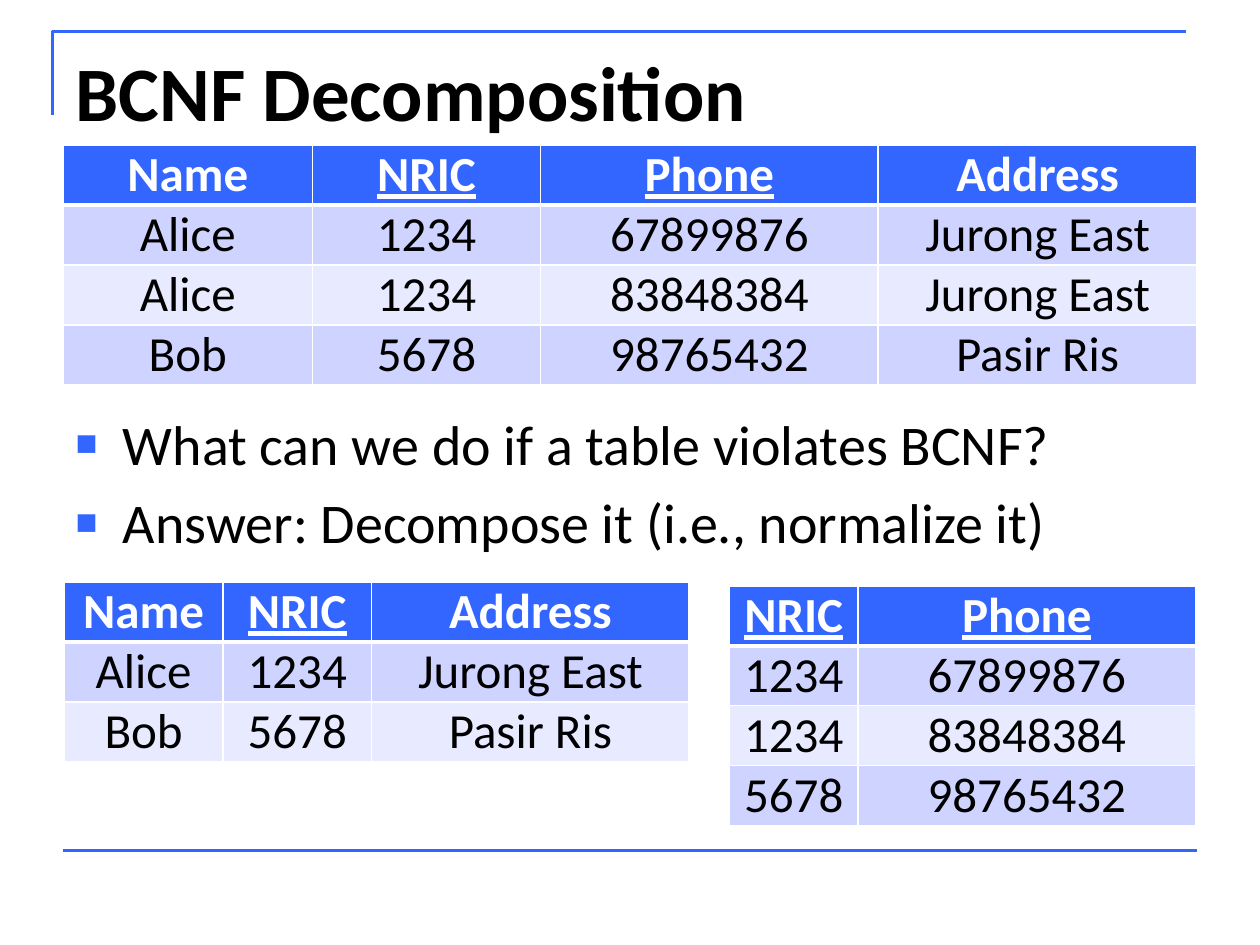
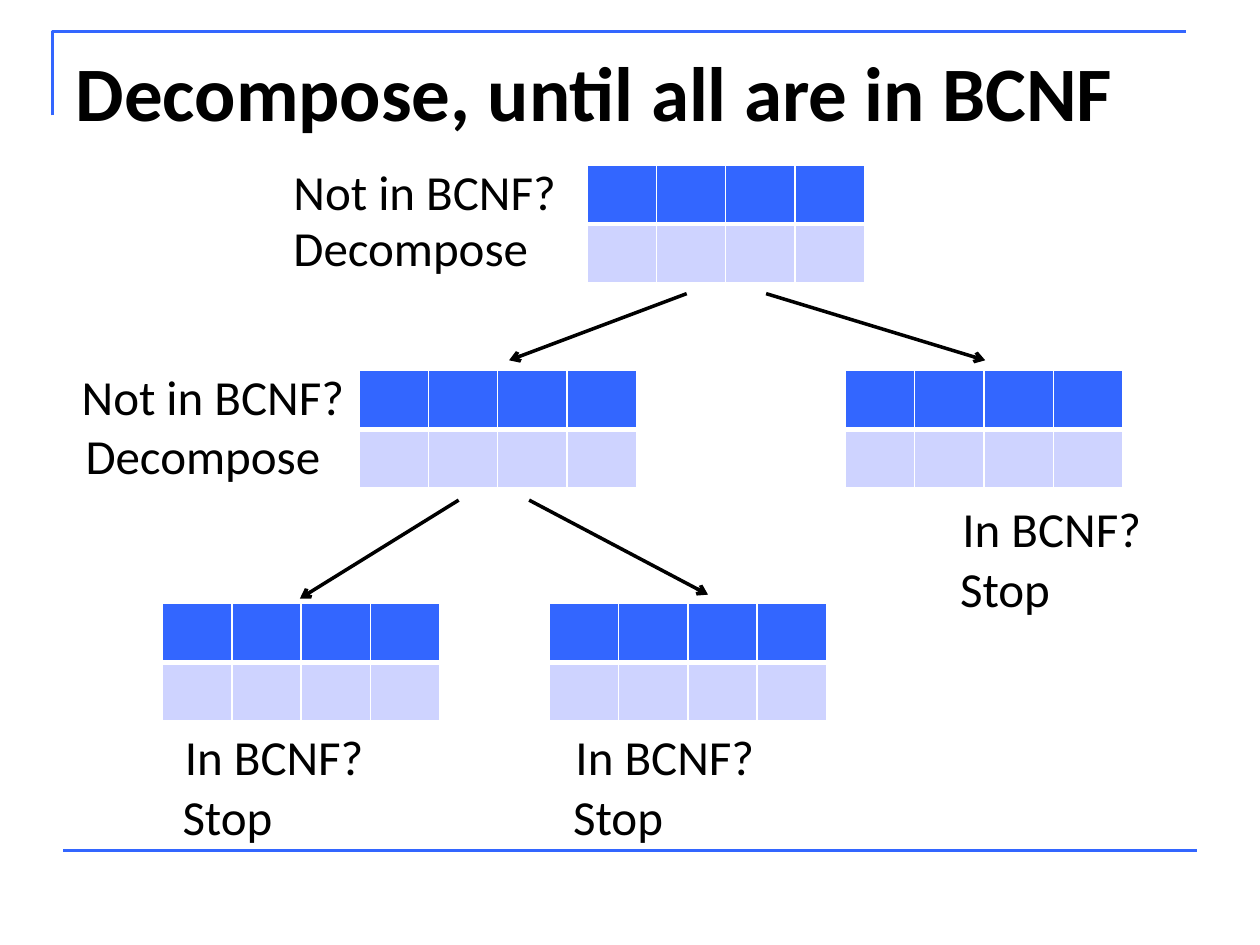
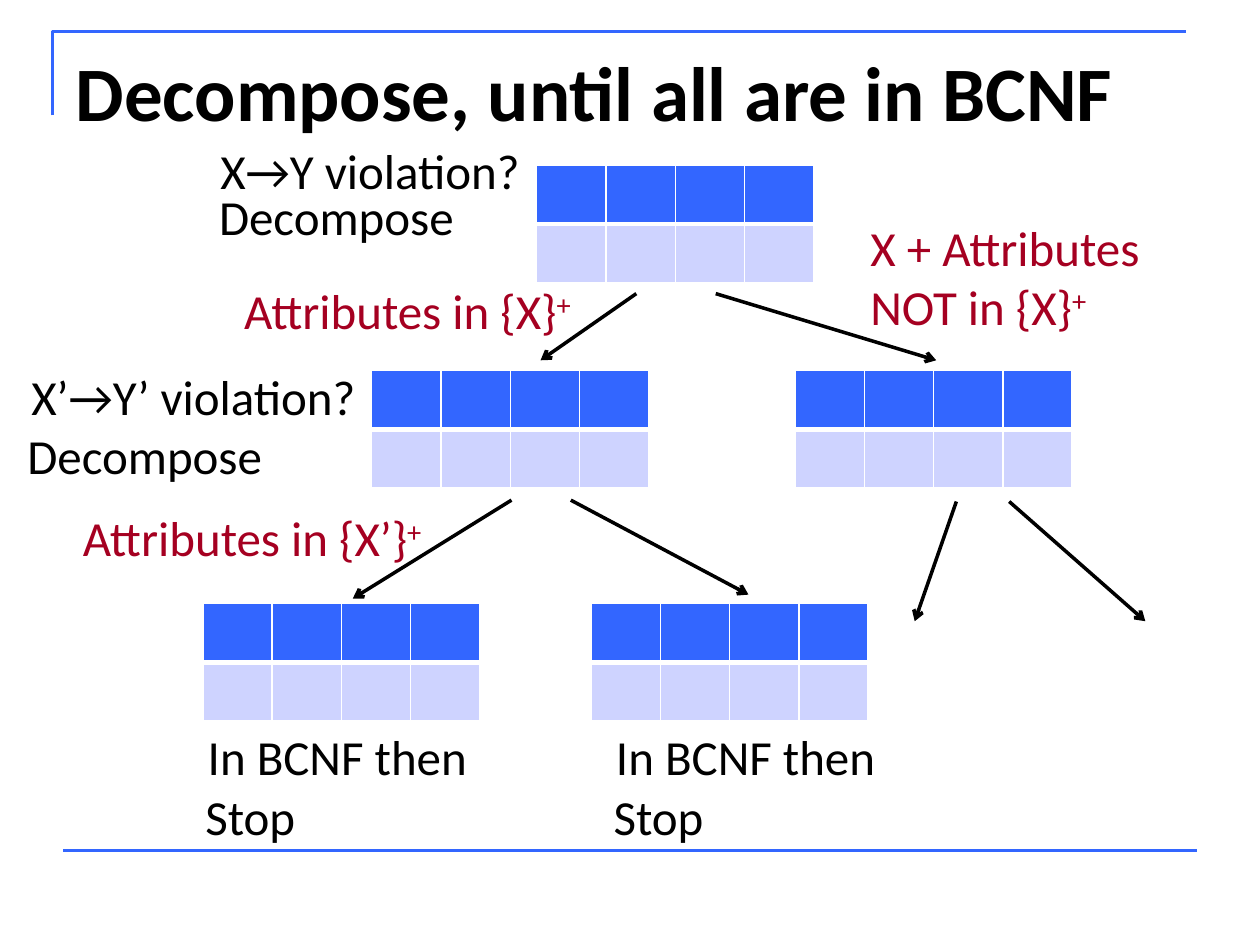
from dataclasses import dataclass
from typing import Optional

from lxml.etree import SubElement
from pptx import Presentation
from pptx.dml.color import RGBColor
from pptx.enum.shapes import MSO_CONNECTOR
from pptx.enum.text import MSO_ANCHOR, MSO_AUTO_SIZE, PP_ALIGN
from pptx.oxml.ns import qn
from pptx.slide import Slide
from pptx.table import _Cell as Cell
from pptx.text.text import _Paragraph as Para
from pptx.util import Pt

BLUE = RGBColor(0x33, 0x66, 0xFF)
DARK = RGBColor(0xCE, 0xD3, 0xFF)
PALE = RGBColor(0xE8, 0xEA, 0xFF)
RED = RGBColor(0xA5, 0x00, 0x21)
BLACK = RGBColor(0, 0, 0)
WHITE = RGBColor(0xFF, 0xFF, 0xFF)
FONT = "Calibri"
ROW = 33.6
LINE = 34
LEVELS = (94.3, 211.7, 344.9)
BLANK = [[""] * 4] * 2
KEYS = ("NRIC", "Phone")
WIDE = {
    "Not in BCNF?": 173,
    "In BCNF?": 125,
    "In BCNF then": 171,
    "X→Y violation?": 196,
    "X’→Y’ violation?": 209,
    "Decompose": 156,
    "Stop": 73,
}


@dataclass
class Grid:
    """A table with a header row; all lengths in points."""
    left: float
    top: float
    cols: list[float]
    rows: list[list[str]]
    keys: tuple[str, ...] = ()
    anchor: MSO_ANCHOR = MSO_ANCHOR.TOP


@dataclass
class Label:
    """Free text, with an optional raised ending."""
    text: str
    left: float
    top: float
    width: float
    color: RGBColor = BLACK
    power: str = ""


@dataclass
class Arrow:
    """An arrow from one point to another."""
    x1: float
    y1: float
    x2: float
    y2: float


def style(para: Para, size: float, color: RGBColor = BLACK,
          bold: Optional[bool] = None) -> None:
    """Set the font of a whole paragraph."""
    font = para.font
    font.name, font.size, font.bold = FONT, Pt(size), bold
    font.color.rgb = color


def draw_line(slide: Slide, arrow: Arrow, color: RGBColor, width: float,
              head: bool = True) -> None:
    """Draw a straight line, with or without an arrowhead."""
    ends = [Pt(n) for n in (arrow.x1, arrow.y1, arrow.x2, arrow.y2)]
    link = slide.shapes.add_connector(MSO_CONNECTOR.STRAIGHT, *ends)
    link.line.color.rgb = color
    link.line.width = Pt(width)
    if head:
        SubElement(link.line._get_or_add_ln(), qn("a:tailEnd"), type="arrow")
    SubElement(link._element.spPr, qn("a:effectLst"))


def draw_frame(slide: Slide, title: str) -> None:
    """Draw the corner, the foot line and the title."""
    pen = slide.shapes.build_freeform(Pt(30), Pt(66), 1)
    pen.add_line_segments([(Pt(30), Pt(18)), (Pt(678), Pt(18))], close=False)
    bend = pen.convert_to_shape()
    bend.shadow.inherit = False
    bend.fill.background()
    bend.line.color.rgb = BLUE
    bend.line.width = Pt(1.5)
    draw_line(slide, Arrow(36, 486, 684, 486), BLUE, 1.5, head=False)

    head = slide.shapes.title
    head.left, head.top, head.width, head.height = Pt(36), Pt(21.6), Pt(648), Pt(90)
    frame = head.text_frame
    frame.text = title
    frame.auto_size = MSO_AUTO_SIZE.NONE
    frame.vertical_anchor = MSO_ANCHOR.TOP
    frame.paragraphs[0].alignment = PP_ALIGN.LEFT
    style(frame.paragraphs[0], 44, bold=True)


def add_bullet(para: Para) -> None:
    """Give a paragraph a small blue square bullet."""
    props = para._p.get_or_add_pPr()
    props.set("marL", str(Pt(27)))
    props.set("indent", str(Pt(-27)))
    tint = SubElement(props, qn("a:buClr"))
    SubElement(tint, qn("a:srgbClr"), val=str(BLUE))
    SubElement(props, qn("a:buSzPct"), val="65000")
    SubElement(props, qn("a:buFont"), typeface="Arial")
    SubElement(props, qn("a:buChar"), char="■")


def draw_list(slide: Slide, lines: list[str]) -> None:
    """Fill the body placeholder with bullet lines."""
    body = slide.placeholders[1]
    body.left, body.top, body.width, body.height = Pt(36), Pt(230.4), Pt(648), Pt(85)
    frame = body.text_frame
    frame.text = "\n".join(lines)
    frame.auto_size = MSO_AUTO_SIZE.NONE
    for para in frame.paragraphs:
        add_bullet(para)
        style(para, 32)


def set_edges(cell: Cell, row: int) -> None:
    """Draw white cell borders, thick below the header."""
    props = cell._tc.get_or_add_tcPr()
    thick = {(0, "lnB"), (1, "lnT")}
    for side in ("lnL", "lnR", "lnT", "lnB"):
        width = Pt(3 if (row, side) in thick else 1)
        edge = SubElement(props, qn(f"a:{side}"), w=str(width))
        fill = SubElement(edge, qn("a:solidFill"))
        SubElement(fill, qn("a:srgbClr"), val=str(WHITE))


def fill_cell(cell: Cell, text: str, row: int, grid: Grid) -> None:
    """Set the borders, fill and text of one cell."""
    set_edges(cell, row)
    cell.fill.solid()
    cell.fill.fore_color.rgb = BLUE if row == 0 else DARK if row % 2 else PALE
    cell.margin_top = cell.margin_bottom = 0
    cell.vertical_anchor = grid.anchor
    if not text:
        return
    cell.text = text
    para = cell.text_frame.paragraphs[0]
    para.alignment = PP_ALIGN.CENTER
    style(para, 28, BLACK if row else WHITE, bold=row == 0)
    if row == 0 and text in grid.keys:
        para.font.underline = True


def draw_grid(slide: Slide, grid: Grid) -> None:
    """Draw a table."""
    count = len(grid.rows)
    table = slide.shapes.add_table(
        count, len(grid.cols), Pt(grid.left), Pt(grid.top),
        Pt(sum(grid.cols)), Pt(ROW * count)).table
    table.horz_banding = False
    for col, width in zip(table.columns, grid.cols):
        col.width = Pt(width)
    for r, texts in enumerate(grid.rows):
        table.rows[r].height = Pt(ROW)
        for c, text in enumerate(texts):
            fill_cell(table.cell(r, c), text, r, grid)


def draw_label(slide: Slide, label: Label) -> None:
    """Draw a text box."""
    high = 41 + LINE * label.text.count("\v")
    box = slide.shapes.add_textbox(
        Pt(label.left), Pt(label.top), Pt(label.width), Pt(high))
    frame = box.text_frame
    frame.word_wrap = True
    para = frame.paragraphs[0]
    para.text = label.text
    style(para, 28, label.color)
    if label.power:
        run = para.add_run()
        run.text = label.power
        run._r.get_or_add_rPr().set("baseline", "30000")


def pair(first: str, second: str, left: float, top: float,
         shift: float = -1.4, gap: float = LINE) -> list[Label]:
    """Make a check and, below it, the step that follows."""
    return [Label(first, left, top, WIDE[first]),
            Label(second, left + shift, top + gap, WIDE[second])]


def draw_tree(slide: Slide, nodes: list[tuple[float, int]],
              labels: list[Label], arrows: list[Arrow]) -> None:
    """Draw blank tables by left edge and level, then arrows and labels."""
    draw_frame(slide, "Decompose, until all are in BCNF")
    for left, level in nodes:
        draw_grid(slide, Grid(left, LEVELS[level], [39.6] * 4, BLANK))
    for arrow in arrows:
        draw_line(slide, arrow, BLACK, 2)
    for label in labels:
        draw_label(slide, label)


deck = Presentation()
deck.slide_width, deck.slide_height = Pt(720), Pt(540)
LIST, PLAIN = deck.slide_layouts[1], deck.slide_layouts[5]

intro = deck.slides.add_slide(LIST)
draw_frame(intro, "BCNF Decomposition")
draw_list(intro, ["What can we do if a table violates BCNF?",
                  "Answer: Decompose it (i.e., normalize it)"])
for grid in (
    Grid(36, 83, [142.6, 130.3, 193, 182.1],
         [["Name", "NRIC", "Phone", "Address"],
          ["Alice", "1234", "67899876", "Jurong East"],
          ["Alice", "1234", "83848384", "Jurong East"],
          ["Bob", "5678", "98765432", "Pasir Ris"]], KEYS),
    Grid(36.7, 332.6, [90.7, 85, 181.4],
         [["Name", "NRIC", "Address"],
          ["Alice", "1234", "Jurong East"],
          ["Bob", "5678", "Pasir Ris"]], KEYS),
    Grid(416.9, 334.8, [73.4, 193],
         [["NRIC", "Phone"],
          ["1234", "67899876"],
          ["1234", "83848384"],
          ["5678", "98765432"]], KEYS, MSO_ANCHOR.MIDDLE),
):
    draw_grid(intro, grid)

draw_tree(
    deck.slides.add_slide(PLAIN),
    [(335.5, 0), (205.2, 1), (483.1, 1), (92.9, 2), (313.9, 2)],
    pair("Not in BCNF?", "Decompose", 160.6, 88.6, 0, 32.4)
    + pair("Not in BCNF?", "Decompose", 39.6, 205.9, 2.2)
    + pair("In BCNF?", "Stop", 542.9, 281.5)
    + pair("In BCNF?", "Stop", 98.6, 411.8)
    + pair("In BCNF?", "Stop", 321.8, 411.8),
    [Arrow(392.4, 167.8, 290.9, 205.9), Arrow(437.8, 167.8, 563, 205.9),
     Arrow(262.1, 285.8, 171.4, 342), Arrow(302.4, 285.8, 404.6, 339.8)])

draw_tree(
    deck.slides.add_slide(PLAIN),
    [(306.7, 0), (212.4, 1), (454.3, 1), (115.9, 2), (337.7, 2)],
    pair("X→Y violation?", "Decompose", 118.8, 77, -0.7, 26)
    + pair("X’→Y’ violation?", "Decompose", 10.8, 205.9, -2.2)
    + pair("In BCNF then", "Stop", 111.6, 411.8)
    + pair("In BCNF then", "Stop", 344.9, 411.8)
    + [Label("Attributes in {X}", 132.5, 157, 216, RED, "+"),
       Label("X + Attributes\vNOT in {X}", 490.3, 121, 177, RED, "+"),
       Label("Attributes in {X’}", 40.3, 286.6, 217.4, RED, "+")],
    [Arrow(363.6, 167.8, 308.9, 205.9), Arrow(409, 167.8, 535, 205.9),
     Arrow(292.3, 285.8, 201.6, 342), Arrow(326.2, 285.8, 427.7, 339.8),
     Arrow(546.5, 286.6, 522.7, 355), Arrow(576.7, 286.6, 654.5, 355)])

deck.save("out.pptx")
